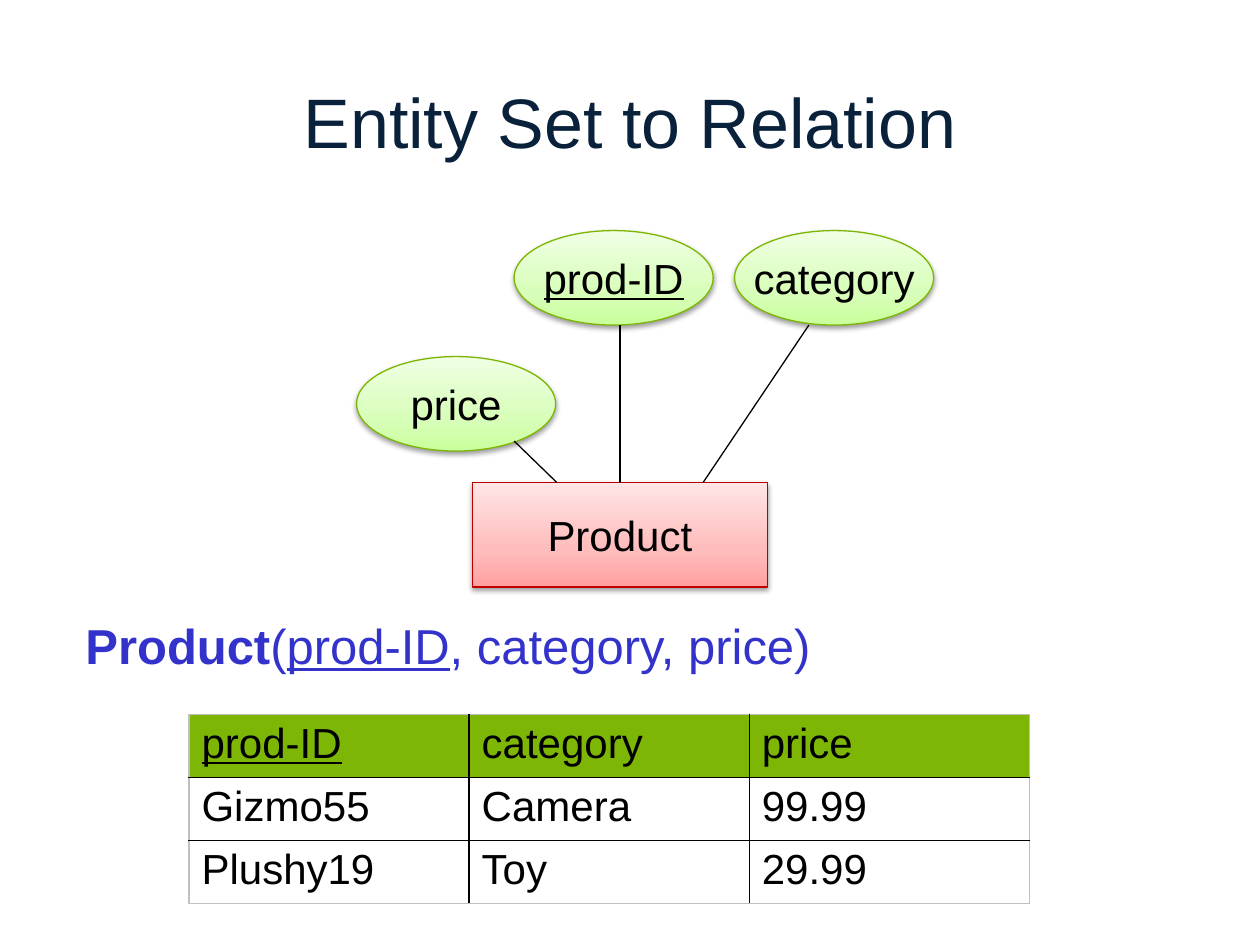
from copy import deepcopy
from dataclasses import dataclass

from lxml import etree
from pptx import Presentation
from pptx.dml.color import RGBColor
from pptx.enum.shapes import MSO_CONNECTOR, MSO_SHAPE
from pptx.enum.text import MSO_ANCHOR, PP_ALIGN
from pptx.oxml import parse_xml
from pptx.oxml.ns import nsdecls, qn
from pptx.util import Inches, Pt

OVAL, RECT = MSO_SHAPE.OVAL, MSO_SHAPE.RECTANGLE
LINE = MSO_CONNECTOR.STRAIGHT
MIDDLE = MSO_ANCHOR.MIDDLE
LEFT, CENTER = PP_ALIGN.LEFT, PP_ALIGN.CENTER


@dataclass(frozen=True)
class Theme:
    """Hold the colours, font and type sizes of the slide."""
    font: str = "Arial"
    title: int = 40
    schema: int = 28
    body: int = 24
    navy: str = "09213B"
    blue: str = "3333CC"
    ink: str = "000000"
    paper: str = "FFFFFF"
    head: str = "7EB606"
    edge: str = "C0C0C0"
    green: tuple = ("C9FF9C", "D8FEBA", "F0FFE4")
    rim: str = "7DB602"
    red: tuple = ("FFA0A0", "FFBCBC", "FFE5E5")
    frame: str = "BC0000"


THEME = Theme()


def rgb(tone):
    """Turn a hex string into a colour."""
    return RGBColor.from_string(tone)


def write(frame, *runs, size=THEME.body, tone=THEME.ink, align=LEFT, wrap=True):
    """Fill a text frame with runs, each given as text and style letters."""
    frame.word_wrap = wrap
    frame.vertical_anchor = MIDDLE
    para = frame.paragraphs[0]
    para.alignment = align
    for text, style in runs:
        run = para.add_run()
        run.text = text
        font = run.font
        font.name, font.size = THEME.font, Pt(size)
        font.color.rgb = rgb(tone)
        font.bold, font.underline = "b" in style, "u" in style


def shade(shape, tones):
    """Give a shape a three-stop upward gradient and a soft shadow."""
    shape.fill.gradient()
    shape.fill.gradient_angle = 90
    stops = shape._element.spPr.find(".//" + qn("a:gsLst"))
    stops.append(deepcopy(stops[0]))
    for stop, spot, tone in zip(shape.fill.gradient_stops, (0, 0.35, 1), tones):
        stop.position = spot
        stop.color.rgb = rgb(tone)
    shape.shadow.inherit = False
    glow = shape._element.spPr.find(qn("a:effectLst"))
    glow.append(parse_xml(
        f'<a:outerShdw {nsdecls("a")} blurRad="{Pt(3.1)}" dist="{Pt(1.6)}" '
        f'dir="5400000" rotWithShape="0"><a:srgbClr val="{THEME.ink}">'
        '<a:alpha val="38000"/></a:srgbClr></a:outerShdw>'))


def node(slide, kind, box, text, tones, rim, style=""):
    """Draw one labelled shape of the diagram."""
    shape = slide.shapes.add_shape(kind, *map(Inches, box))
    shade(shape, tones)
    shape.line.color.rgb = rgb(rim)
    shape.line.width = Pt(0.75)
    write(shape.text_frame, (text, style), align=CENTER, wrap=False)
    return shape


def link(slide, start, end):
    """Draw a thin plain line between two points."""
    line = slide.shapes.add_connector(LINE, *map(Inches, start + end))
    line.line.color.rgb = rgb(THEME.ink)
    line.line.width = Pt(0.75)
    etree.SubElement(line._element.spPr, qn("a:effectLst"))
    return line


def title(slide, box, text):
    """Place and format the title."""
    head = slide.shapes.title
    head.left, head.top, head.width, head.height = map(Inches, box)
    write(head.text_frame, (text, ""), size=THEME.title, tone=THEME.navy, align=CENTER)


def diagram(slide, box):
    """Draw the entity with its attributes and their lines."""
    x, y, wide, high = box
    base = y + high - 0.83
    entity = node(slide, RECT, (x + 0.92, base, 2.34, 0.83),
                  "Product", THEME.red, THEME.frame)
    ovals = (("prod-ID", wide - 3.33, 0, "u"),
             ("category", wide - 1.58, 0, ""),
             ("price", 0, 1, ""))
    for text, dx, dy, style in ovals:
        node(slide, OVAL, (x + dx, y + dy, 1.58, 0.75),
             text, THEME.green, THEME.rim, style)
    link(slide, (x + 1.59, base), (x + 1.25, y + 1.67))
    stem = link(slide, (x + 2.09, base), (x + 2.09, y + 0.75))
    stem.begin_connect(entity, 0)
    link(slide, (x + 2.75, base), (x + 3.59, y + 0.75))


def schema(slide, box):
    """Write the relation schema."""
    area = slide.shapes.add_textbox(*map(Inches, box))
    write(area.text_frame, ("Product", "b"), ("(", ""), ("prod-ID", "u"),
          (", category, price)", ""), size=THEME.schema, tone=THEME.blue, wrap=False)


def border(cell, sides):
    """Set the four cell borders: left, right, top, bottom."""
    props = cell._tc.get_or_add_tcPr()
    for spot, (side, tone) in enumerate(zip("LRTB", sides)):
        props.insert(spot, parse_xml(
            f'<a:ln{side} {nsdecls("a")} w="{Pt(1)}"><a:solidFill>'
            f'<a:srgbClr val="{tone}"/></a:solidFill></a:ln{side}>'))


def table(slide, box, rows):
    """Draw the relation as a table with its header row."""
    tall, wide = len(rows), len(rows[0])
    grid = slide.shapes.add_table(tall, wide, *map(Inches, box)).table
    grid.horz_banding = False
    for r, row in enumerate(rows):
        for c, text in enumerate(row):
            cell = grid.cell(r, c)
            cell.fill.solid()
            cell.fill.fore_color.rgb = rgb(THEME.paper if r else THEME.head)
            outer = (c == 0, c == wide - 1, r == 0, r == tall - 1)
            border(cell, [THEME.edge if out else THEME.ink for out in outer])
            write(cell.text_frame, (text, "" if r or c else "u"))
            cell.vertical_anchor = MSO_ANCHOR.TOP


def main():
    """Build and save the slide."""
    deck = Presentation()
    deck.slide_width, deck.slide_height = Inches(10), Inches(7.5)
    slide = deck.slides.add_slide(deck.slide_layouts[5])
    title(slide, (0.75, 0.33, 8.5, 1.25), "Entity Set to Relation")
    diagram(slide, (2.83, 1.83, 4.58, 2.83))
    schema(slide, (0.58, 4.83, 6.02, 0.57))
    table(slide, (1.5, 5.67, 6.67, 1.5), (
        ("prod-ID", "category", "price"),
        ("Gizmo55", "Camera", "99.99"),
        ("Plushy19", "Toy", "29.99")))
    deck.save("out.pptx")


if __name__ == "__main__":
    main()
